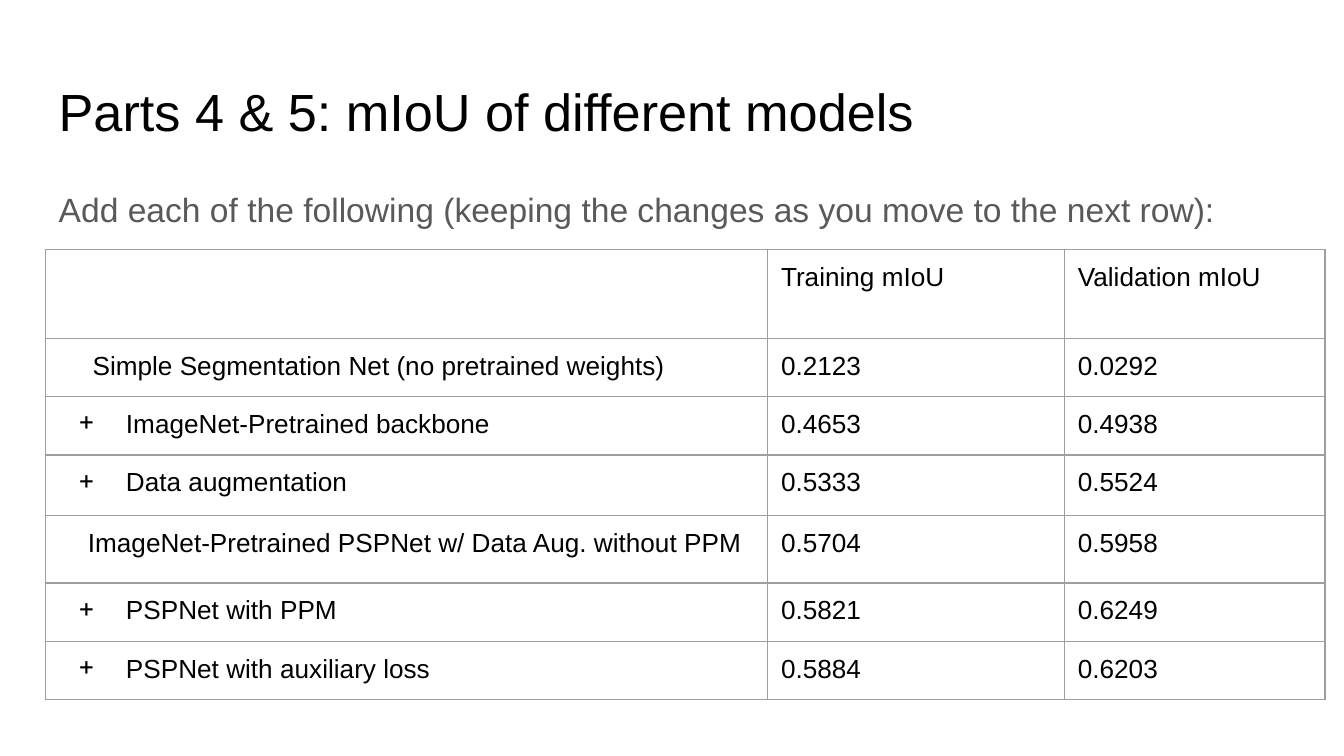
from lxml.etree import SubElement
from pptx import Presentation
from pptx.dml.color import RGBColor
from pptx.enum.text import MSO_ANCHOR, MSO_AUTO_SIZE, PP_ALIGN
from pptx.oxml import parse_xml
from pptx.oxml.ns import nsdecls, qn
from pptx.util import Cm, Pt

COLORS = {"text": "000000", "muted": "595959", "border": "9E9E9E"}
INSET = Cm(0.25)
LEFT, WIDTH = 0.86, 23.67

COLUMN_WIDTHS = [13.65, 5.61, 4.92]
ROW_HEIGHTS = [1.69, 1.1, 1.1, 1.15, 1.27, 1.1, 1.1]
ADDED = "+"

# Each row: label, training score, validation score, label indent (cm or ADDED)
ROWS = [
    ("", "Training mIoU", "Validation mIoU", 0),
    ("Simple Segmentation Net (no pretrained weights)", "0.2123", "0.0292", 0.64),
    ("ImageNet-Pretrained backbone", "0.4653", "0.4938", ADDED),
    ("Data augmentation", "0.5333", "0.5524", ADDED),
    ("ImageNet-Pretrained PSPNet w/ Data Aug. without PPM", "0.5704", "0.5958", 0.55),
    ("PSPNet with PPM", "0.5821", "0.6249", ADDED),
    ("PSPNet with auxiliary loss", "0.5884", "0.6203", ADDED),
]


class SlideBuilder:
    def __init__(self, slide, font="Arial"):
        self.slide = slide
        self.font = font

    def style(self, paragraph, size, color):
        paragraph.alignment = PP_ALIGN.LEFT
        paragraph.space_before = Pt(0)
        paragraph.font.name = self.font
        paragraph.font.size = Pt(size)
        paragraph.font.bold = False
        paragraph.font.color.rgb = RGBColor.from_string(COLORS[color])

    def indent(self, paragraph, left, first=0, bullet=None):
        properties = paragraph._p.get_or_add_pPr()
        properties.set("marL", str(Cm(left)))
        properties.set("indent", str(Cm(first)))
        if bullet:
            SubElement(properties, qn("a:buChar")).set("char", bullet)
        else:
            SubElement(properties, qn("a:buNone"))

    def placeholder(self, index, text, top, height, size, color, line_spacing=1.0):
        shape = self.slide.placeholders[index]
        shape.left, shape.top = Cm(LEFT), Cm(top)
        shape.width, shape.height = Cm(WIDTH), Cm(height)
        frame = shape.text_frame
        frame.text = text
        frame.word_wrap = True
        frame.auto_size = MSO_AUTO_SIZE.NONE
        frame.vertical_anchor = MSO_ANCHOR.TOP
        frame.margin_left = frame.margin_right = INSET
        frame.margin_top = frame.margin_bottom = INSET
        paragraph = frame.paragraphs[0]
        self.style(paragraph, size, color)
        paragraph.line_spacing = line_spacing
        self.indent(paragraph, 0)

    def border(self, cell):
        properties = cell._tc.get_or_add_tcPr()
        for position, side in enumerate("LRTB"):
            line = parse_xml(
                f'<a:ln{side} {nsdecls("a")} w="{Pt(0.75)}"><a:solidFill>'
                f'<a:srgbClr val="{COLORS["border"]}"/></a:solidFill></a:ln{side}>'
            )
            properties.insert(position, line)

    def cell(self, cell, text, indent=0):
        cell.margin_left = cell.margin_right = INSET
        cell.margin_top = cell.margin_bottom = INSET
        cell.fill.background()
        self.border(cell)
        if not text:
            return
        cell.text = text
        paragraph = cell.text_frame.paragraphs[0]
        self.style(paragraph, 14, "text")
        if indent == ADDED:
            self.indent(paragraph, 1.27, -0.89, ADDED)
        elif indent:
            self.indent(paragraph, indent)

    def table(self, rows, top):
        table = self.slide.shapes.add_table(
            len(rows), len(COLUMN_WIDTHS), Cm(LEFT), Cm(top),
            Cm(sum(COLUMN_WIDTHS)), Cm(sum(ROW_HEIGHTS)),
        ).table
        table.first_row = table.horz_banding = False
        for column, width in zip(table.columns, COLUMN_WIDTHS):
            column.width = Cm(width)
        for row, height, (label, training, validation, indent) in zip(
            table.rows, ROW_HEIGHTS, rows
        ):
            row.height = Cm(height)
            self.cell(row.cells[0], label, indent)
            self.cell(row.cells[1], training)
            self.cell(row.cells[2], validation)


def main():
    presentation = Presentation()
    presentation.slide_width, presentation.slide_height = Cm(25.4), Cm(14.29)
    slide = presentation.slides.add_slide(presentation.slide_layouts[1])
    builder = SlideBuilder(slide)
    builder.placeholder(0, "Parts 4 & 5: mIoU of different models", 1.24, 1.6, 28, "text")
    builder.placeholder(
        1, "Add each of the following (keeping the changes as you move to the next row):",
        3.2, 9.5, 18, "muted", line_spacing=1.15,
    )
    builder.table(ROWS, 4.71)
    presentation.save("out.pptx")


if __name__ == "__main__":
    main()
